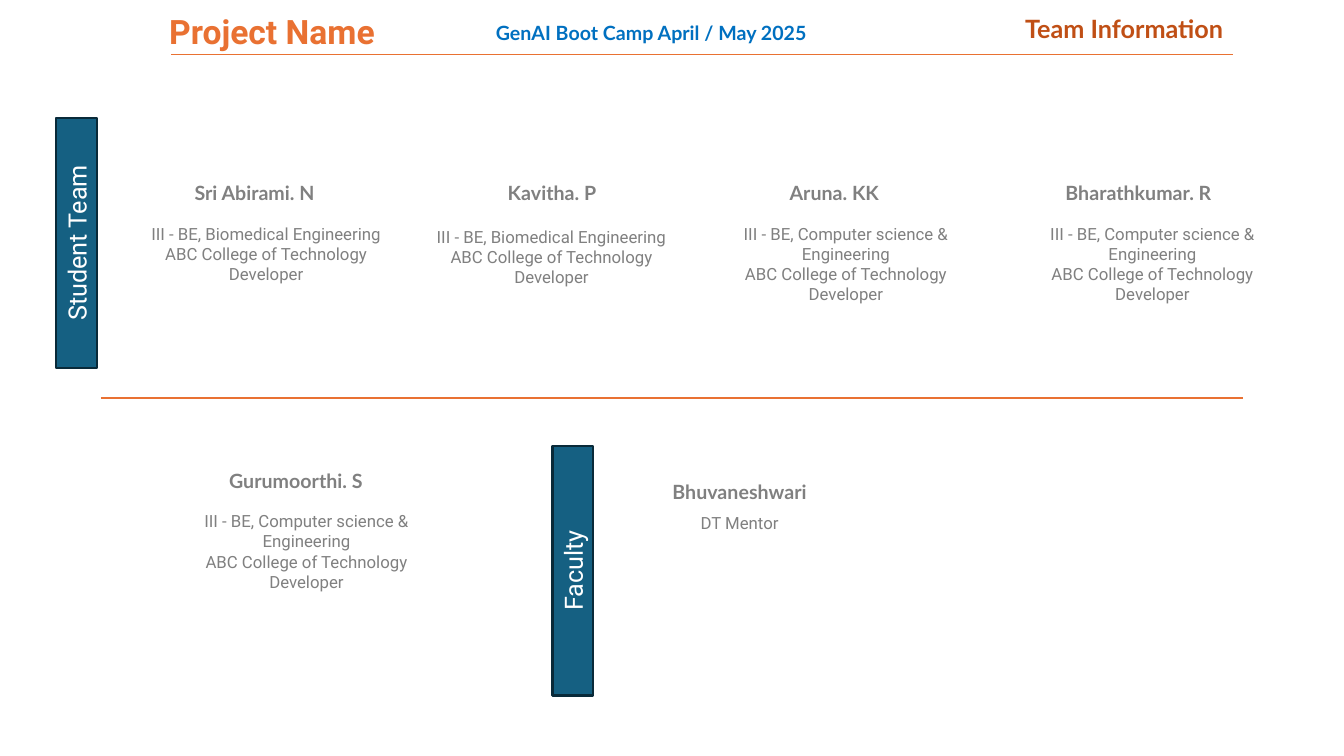
from dataclasses import dataclass

from lxml import etree
from pptx import Presentation
from pptx.dml.color import RGBColor
from pptx.enum.shapes import MSO_CONNECTOR, MSO_SHAPE
from pptx.enum.text import MSO_ANCHOR, MSO_AUTO_SIZE, PP_ALIGN
from pptx.oxml.ns import qn
from pptx.slide import Slide
from pptx.text.text import TextFrame
from pptx.util import Emu, Pt

LEFT, MID, RIGHT = PP_ALIGN.LEFT, PP_ALIGN.CENTER, PP_ALIGN.RIGHT
MIDDLE = MSO_ANCHOR.MIDDLE
GROW = MSO_AUTO_SIZE.SHAPE_TO_FIT_TEXT
RECT, STRAIGHT = MSO_SHAPE.RECTANGLE, MSO_CONNECTOR.STRAIGHT

GREY = RGBColor(0x80, 0x80, 0x80)
ORANGE = RGBColor(0xE9, 0x71, 0x32)
RUST = RGBColor(0xC0, 0x4F, 0x15)
BLUE = RGBColor(0x00, 0x70, 0xC0)
TEAL = RGBColor(0x15, 0x60, 0x82)
NAVY = RGBColor(0x09, 0x2A, 0x39)
WHITE = RGBColor(0xFF, 0xFF, 0xFF)

SCALE = 9144  # EMU in one px, 100 px to the inch
NAME_W, NAME_H = 189, 34
ROLE_W, ROLE_H = 292, 71
BAR_W, BAR_H = 248, 40

BIO = "III - BE, Biomedical Engineering"
COMP = "III - BE, Computer science & Engineering"
STUDY = ["ABC College of Technology", "Developer"]


@dataclass
class Member:
    name: str
    left: int
    top: int
    role: list[str]
    role_left: int
    role_top: int
    role_w: int = ROLE_W
    role_h: int = ROLE_H


@dataclass
class Bar:
    label: str
    left: int
    top: int


@dataclass
class Rule:
    left: int
    right: int
    top: int


MEMBERS = [
    Member("Sri Abirami. N", 158, 175, [BIO, *STUDY], 118, 217),
    Member("Kavitha. P", 453, 175, [BIO, *STUDY], 401, 220),
    Member("Aruna. KK", 733, 175, [COMP, *STUDY], 693, 217),
    Member("Bharathkumar. R ", 1037, 175, [COMP, *STUDY], 997, 217),
    Member("Gurumoorthi. S", 199, 460, [COMP, *STUDY], 158, 502),
    Member("Bhuvaneshwari", 639, 471, ["DT Mentor"], 639, 504, NAME_W, 30),
]
BARS = [Bar("Student Team", -48, 221), Bar("Faculty", 444, 546)]
RULES = [Rule(170, 1223, 54), Rule(100, 1233, 395)]


def px(num: int) -> Emu:
    return Emu(num * SCALE)


def write(frame: TextFrame, lines: list[str], *, size: int, font: str,
          color: RGBColor, bold: bool = False, align: PP_ALIGN = MID) -> None:
    """Fill a frame with one paragraph a line."""
    frame.word_wrap = True
    for num, line in enumerate(lines):
        para = frame.add_paragraph() if num else frame.paragraphs[0]
        para.alignment = align
        run = para.add_run()
        run.text = line
        run.font.size = Pt(size)
        run.font.name = font
        run.font.bold = bold
        run.font.color.rgb = color


def add_text(slide: Slide, left: int, top: int, width: int, height: int,
             lines: list[str], **style) -> None:
    box = slide.shapes.add_textbox(px(left), px(top), px(width), px(height))
    write(box.text_frame, lines, **style)
    box.text_frame.auto_size = GROW


def add_member(slide: Slide, who: Member) -> None:
    add_text(slide, who.left, who.top, NAME_W, NAME_H, [who.name],
             size=14, font="Lato", color=GREY, bold=True)
    add_text(slide, who.role_left, who.role_top, who.role_w, who.role_h,
             who.role, size=12, font="Roboto", color=GREY)


def add_bar(slide: Slide, bar: Bar) -> None:
    shape = slide.shapes.add_shape(RECT, px(bar.left), px(bar.top),
                                   px(BAR_W), px(BAR_H))
    shape.rotation = 270
    shape.shadow.inherit = False
    shape.fill.solid()
    shape.fill.fore_color.rgb = TEAL
    shape.line.color.rgb = NAVY
    shape.line.width = Pt(1.5)
    shape.text_frame.vertical_anchor = MIDDLE
    write(shape.text_frame, [bar.label], size=18, font="Roboto", color=WHITE)


def add_rule(slide: Slide, rule: Rule) -> None:
    line = slide.shapes.add_connector(STRAIGHT, px(rule.left), px(rule.top),
                                      px(rule.right), px(rule.top))
    line.line.color.rgb = ORANGE
    line.line.width = Pt(1)
    etree.SubElement(line._element.spPr, qn("a:effectLst"))


def main() -> None:
    deck = Presentation()
    deck.slide_width, deck.slide_height = px(1333), px(750)
    slide = deck.slides.add_slide(deck.slide_layouts[6])

    # Header
    add_text(slide, 158, 6, 315, 50, ["Project Name"], size=24,
             font="Roboto", color=ORANGE, bold=True, align=LEFT)
    add_text(slide, 458, 16, 376, 34, ["GenAI Boot Camp April / May 2025"],
             size=14, font="Lato", color=BLUE, bold=True)
    add_text(slide, 872, 8, 351, 40, ["Team Information"], size=18,
             font="Lato", color=RUST, bold=True, align=RIGHT)

    # Lines under the header and between the rows
    for rule in RULES:
        add_rule(slide, rule)

    # Section bars
    for bar in BARS:
        add_bar(slide, bar)

    # Students and mentor
    for who in MEMBERS:
        add_member(slide, who)

    deck.save("out.pptx")


if __name__ == "__main__":
    main()
